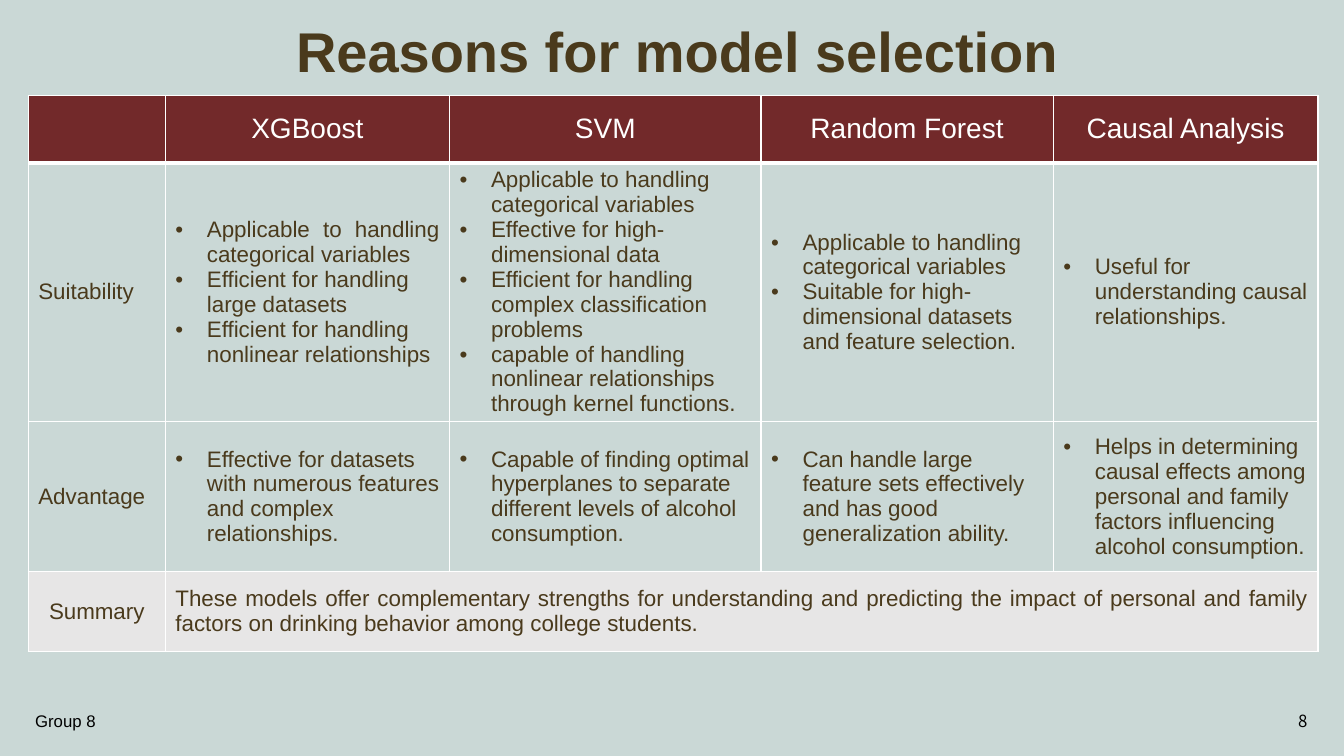
import dataclasses

import pptx
import pptx.dml.color
import pptx.enum.text
import pptx.oxml
import pptx.oxml.ns
import pptx.util

Pt = pptx.util.Pt
ALIGN = pptx.enum.text.PP_ALIGN
MIDDLE = pptx.enum.text.MSO_ANCHOR.MIDDLE


@dataclasses.dataclass(frozen=True)
class Theme:
    page: str = "CAD8D6"
    ink: str = "4A3A1C"
    head: str = "72292A"
    band: str = "E7E6E6"
    white: str = "FFFFFF"
    black: str = "000000"
    font: str = "Arial"
    digit: str = "Noto Sans CJK SC"
    title: int = 40
    label: int = 20
    body: int = 16
    foot: int = 12
    thin: int = 1
    thick: int = 3
    indent: float = 22.5


def color(code):
    return pptx.dml.color.RGBColor.from_string(code)


def apply(target, values):
    for name, value in values.items():
        setattr(target, name, value)


class Board:
    def __init__(self, slide, theme):
        self.slide = slide
        self.theme = theme
        self.paint(slide.background.fill, theme.page)

    def paint(self, fill, code):
        fill.solid()
        fill.fore_color.rgb = color(code)

    def letter(self, frame, lines, size, code, align=ALIGN.LEFT, **form):
        frame.word_wrap = True
        for index, line in enumerate(lines):
            para = frame.paragraphs[0] if index == 0 else frame.add_paragraph()
            para.alignment = align
            run = para.add_run()
            run.text = line
            values = {"name": self.theme.font, "size": Pt(size), **form}
            apply(run.font, values)
            run.font.color.rgb = color(code)

    def title(self, text, box):
        shape = self.slide.shapes.title
        apply(shape, dict(zip(("left", "top", "width", "height"), map(Pt, box))))
        frame = shape.text_frame
        frame.vertical_anchor = MIDDLE
        self.letter(frame, [text], self.theme.title, self.theme.ink,
                    ALIGN.CENTER, bold=True)
        frame.paragraphs[0].line_spacing = 0.9

    def note(self, text, box, align, font):
        frame = self.slide.shapes.add_textbox(*map(Pt, box)).text_frame
        frame.vertical_anchor = MIDDLE
        self.letter(frame, [text], self.theme.foot, self.theme.black, align, name=font)

    def grid(self, place, widths, heights):
        frame = self.slide.shapes.add_table(
            len(heights), len(widths), *map(Pt, place),
            Pt(sum(widths)), Pt(sum(heights)))
        table = frame.table
        for column, width in zip(table.columns, widths):
            column.width = Pt(width)
        for row, height in zip(table.rows, heights):
            row.height = Pt(height)
        return table

    def cell(self, cell, fill, lines=(), size=None, code=None,
             align=ALIGN.LEFT, dots=False, top=1, base=1):
        cell.vertical_anchor = MIDDLE
        self.paint(cell.fill, fill)
        self.edge(cell, top, base)
        self.letter(cell.text_frame, lines, size or self.theme.body,
                    code or self.theme.ink, align)
        if dots:
            for para in cell.text_frame.paragraphs:
                self.bullet(para)

    def edge(self, cell, top, base):
        props = cell._tc.get_or_add_tcPr()
        thin = self.theme.thin
        sides = {"L": thin, "R": thin, "T": top, "B": base}
        for index, (side, width) in enumerate(sides.items()):
            line = pptx.oxml.parse_xml(
                f'<a:ln{side} {pptx.oxml.ns.nsdecls("a")} w="{Pt(width)}">'
                f'<a:solidFill><a:srgbClr val="{self.theme.white}"/></a:solidFill>'
                f'</a:ln{side}>')
            props.insert(index, line)

    def bullet(self, para):
        props = para._p.get_or_add_pPr()
        indent = Pt(self.theme.indent)
        props.set("marL", str(indent))
        props.set("indent", str(-indent))
        marks = {"buFont": f'typeface="{self.theme.font}"', "buChar": 'char="•"'}
        for tag, value in marks.items():
            props.append(pptx.oxml.parse_xml(
                f'<a:{tag} {pptx.oxml.ns.nsdecls("a")} {value}/>'))


MODELS = ["", "XGBoost", "SVM", "Random Forest", "Causal Analysis"]
REASONS = {
    "Suitability": [
        ["Applicable to handling categorical variables",
         "Efficient for handling large datasets",
         "Efficient for handling nonlinear relationships"],
        ["Applicable to handling categorical variables",
         "Effective for high-dimensional data",
         "Efficient for handling complex classification problems",
         "capable of handling nonlinear relationships through kernel functions."],
        ["Applicable to handling categorical variables",
         "Suitable for high-dimensional datasets and feature selection."],
        ["Useful for understanding causal relationships."],
    ],
    "Advantage": [
        ["Effective for datasets with numerous features and complex relationships."],
        ["Capable of finding optimal hyperplanes to separate different levels of "
         "alcohol consumption."],
        ["Can handle large feature sets effectively and has good generalization "
         "ability."],
        ["Helps in determining causal effects among personal and family factors "
         "influencing alcohol consumption."],
    ],
}
SUMMARY = ("These models offer complementary strengths for understanding and "
           "predicting the impact of personal and family factors on drinking "
           "behavior among college students.")


def main():
    theme = Theme()
    deck = pptx.Presentation()
    apply(deck, {"slide_width": Pt(960), "slide_height": Pt(540)})
    board = Board(deck.slides.add_slide(deck.slide_layouts[5]), theme)

    board.title("Reasons for model selection", (72.7, 0, 821.5, 77))
    table = board.grid((20.2, 68.2), (97.9, 203, 222.5, 208.8, 189.1),
                       (48, 183, 107.2, 57))

    for col, model in enumerate(MODELS):
        board.cell(table.cell(0, col), theme.head, [model] if model else [],
                   theme.label, theme.white, ALIGN.CENTER, base=theme.thick)

    for row, (label, lists) in enumerate(REASONS.items(), 1):
        top = theme.thick if row == 1 else theme.thin
        board.cell(table.cell(row, 0), theme.page, [label], top=top)
        for col, lines in enumerate(lists, 1):
            board.cell(table.cell(row, col), theme.page, lines, dots=True, top=top)
    table.cell(1, 1).text_frame.paragraphs[0].alignment = ALIGN.JUSTIFY

    table.cell(3, 1).merge(table.cell(3, 4))
    board.cell(table.cell(3, 0), theme.band, ["Summary"], align=ALIGN.CENTER)
    board.cell(table.cell(3, 1), theme.band, [SUMMARY], align=ALIGN.JUSTIFY)
    for col in range(2, 5):
        board.cell(table.cell(3, col), theme.band)

    board.note("Group 8", (18, 500.4, 324, 28.8), ALIGN.LEFT, theme.font)
    board.note("8", (725, 500.4, 216, 28.8), ALIGN.RIGHT, theme.digit)
    deck.save("out.pptx")


if __name__ == "__main__":
    main()
